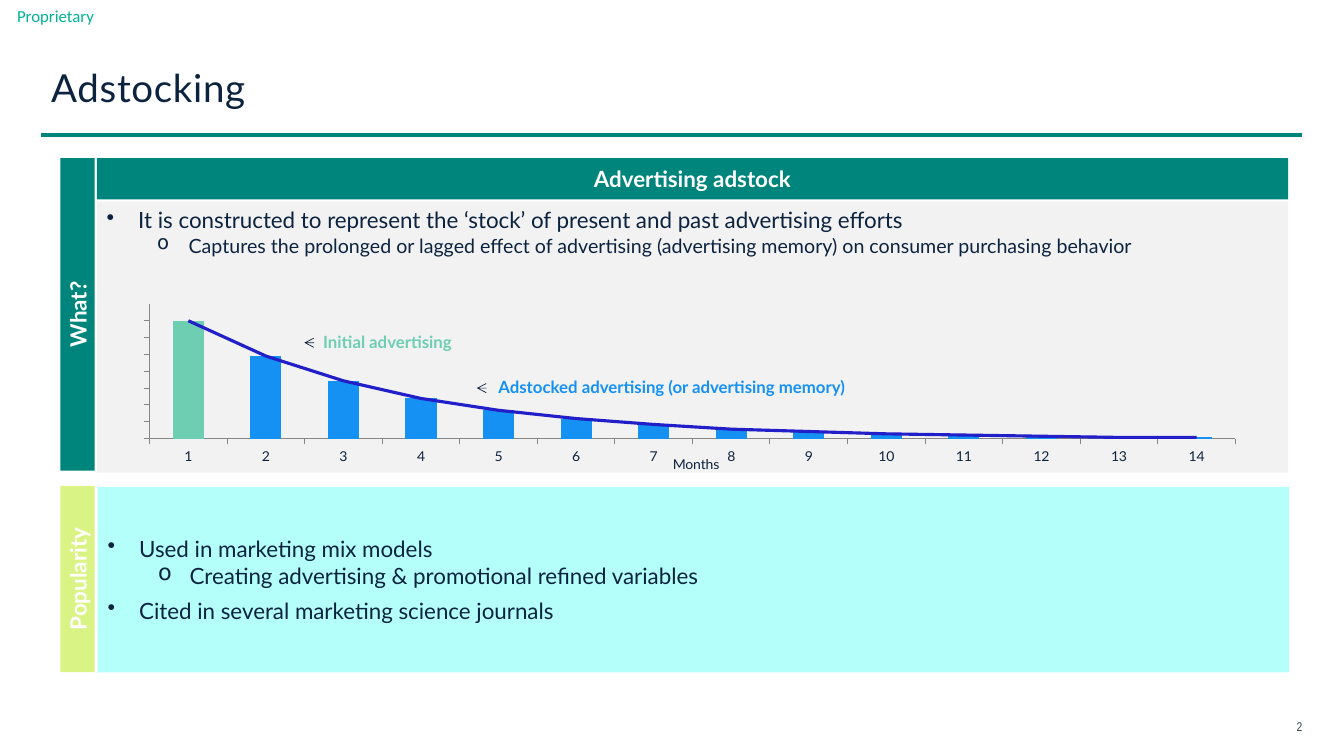
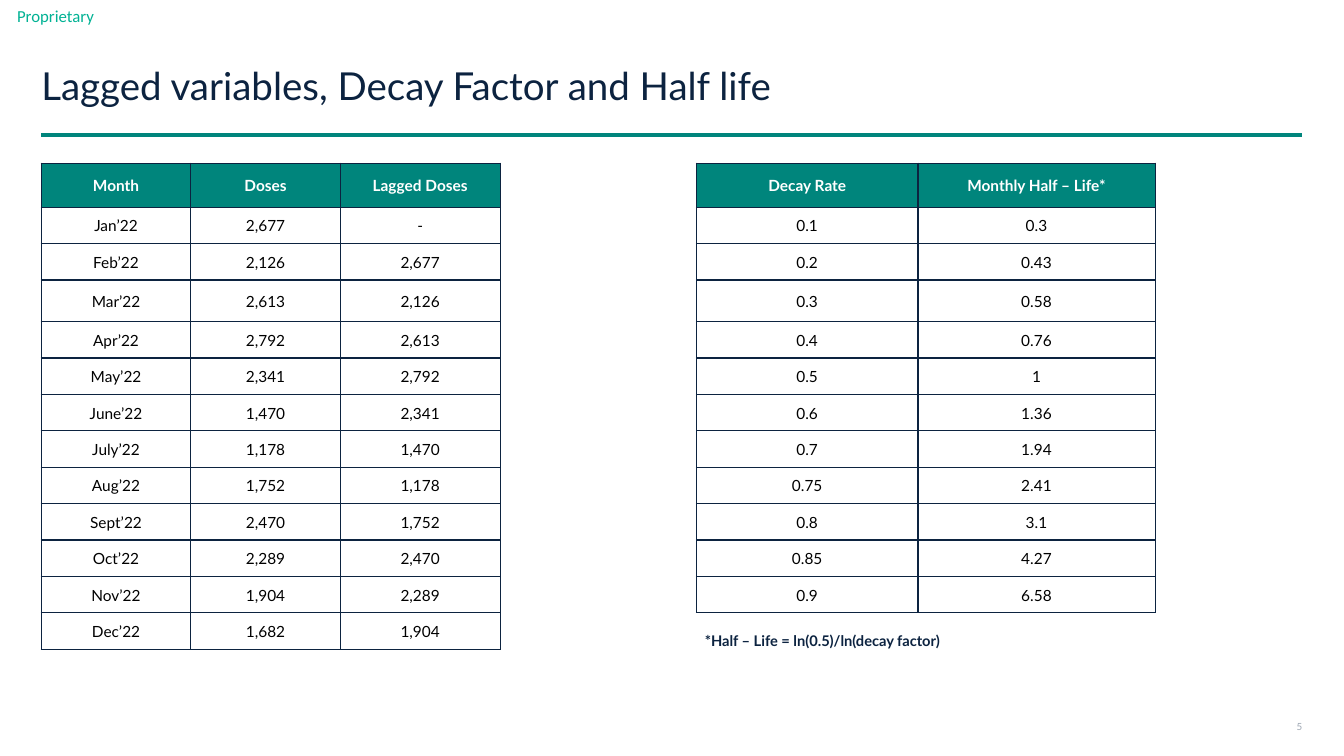
from dataclasses import dataclass
from typing import NamedTuple, Optional

from lxml import etree
from pptx import Presentation
from pptx import util as u
from pptx.chart import data as chart_data
from pptx.dml.color import RGBColor
from pptx.enum import chart as charts, shapes, text
from pptx.oxml.ns import qn

Pt = u.Pt

COLORS = {
    "navy": "0C2340", "teal": "00857C", "green": "00B294", "white": "FFFFFF",
    "black": "000000", "slate": "37424A", "silver": "9EA7B3", "grey": "F2F2F2",
    "axis": "868686", "aqua": "B4FFFA", "lime": "D9F485", "mint": "6ECEB2",
    "blue": "1590F3", "indigo": "221FC8",
}
CENTER, RIGHT = text.PP_ALIGN.CENTER, text.PP_ALIGN.RIGHT
MIDDLE, TOP = text.MSO_ANCHOR.MIDDLE, text.MSO_ANCHOR.TOP
MARGIN, RULE_Y, RULE_END = 29.5, 96.5, 930.2


class Area(NamedTuple):
    left: float
    top: float
    width: float
    height: float

    def points(self) -> list:
        return [Pt(value) for value in self]


class Insets(NamedTuple):
    left: float = 0
    top: float = 0
    right: float = 0
    bottom: float = 0


PADDED = Insets(7.2, 3.6, 7.2, 3.6)


@dataclass
class Band:
    label: str
    area: Area
    fill: str
    vertical: bool = False


@dataclass
class Bullet:
    text: str
    level: int = 0
    size: float = 16
    space: float = 0


@dataclass
class Panel:
    area: Area
    fill: str
    anchor: text.MSO_ANCHOR
    bullets: list


@dataclass
class Callout:
    label: str
    color: str
    tip: float
    tail: float
    y: float
    left: float
    width: float


@dataclass
class Grid:
    left: float
    widths: list
    header: list
    rows: list


def rgb(name: str) -> RGBColor:
    return RGBColor.from_string(COLORS[name])


# Text
def write(frame, content: str, *, size: float, color: str = "navy", font: str = "Lato",
          bold: bool = False, align=None, level: int = 0, bullet: Optional[str] = None,
          space: float = 0, line: Optional[float] = None, tracking: int = 0) -> None:
    para = frame.add_paragraph() if frame.text else frame.paragraphs[0]
    para.alignment, para.level, para.line_spacing = align, level, line
    para.space_before = para.space_after = Pt(space)
    if bullet:
        props = para._p.get_or_add_pPr()
        props.set("marL", str(Pt(22.5 + 36 * level)))
        props.set("indent", str(-Pt(22.5)))
        etree.SubElement(props, qn("a:buChar"), char=bullet)
    span = para.add_run()
    span.text = content
    span.font.name, span.font.size, span.font.bold = font, Pt(size), bold
    span.font.color.rgb = rgb(color)
    if tracking:
        span._r.get_or_add_rPr().set("spc", str(tracking))


def set_frame(frame, insets: Insets = Insets(), anchor=MIDDLE) -> None:
    frame.word_wrap = True
    frame.vertical_anchor = anchor
    frame.margin_left, frame.margin_top, frame.margin_right, frame.margin_bottom = (
        Pt(value) for value in insets)


def add_text(page, area: Area, content: str, insets: Insets = Insets(), **style) -> None:
    frame = page.shapes.add_textbox(*area.points()).text_frame
    set_frame(frame, insets)
    write(frame, content, **style)


# Shapes and lines
def add_box(page, area: Area, fill: str):
    box = page.shapes.add_shape(shapes.MSO_SHAPE.RECTANGLE, *area.points())
    box.shadow.inherit = False
    box.fill.solid()
    box.fill.fore_color.rgb = rgb(fill)
    box.line.fill.background()
    return box


def add_line(page, start: float, end: float, y: float, color: str, width: float,
             arrow: bool = False) -> None:
    line = page.shapes.add_connector(
        shapes.MSO_CONNECTOR.STRAIGHT, Pt(start), Pt(y), Pt(end), Pt(y))
    line.line.color.rgb = rgb(color)
    line.line.width = Pt(width)
    if arrow:
        etree.SubElement(line.line._get_or_add_ln(), qn("a:tailEnd"), type="arrow")
    etree.SubElement(line.element.spPr, qn("a:effectLst"))


def add_band(page, band: Band) -> None:
    box = add_box(page, band.area, band.fill)
    set_frame(box.text_frame)
    if band.vertical:
        box.element.find(".//" + qn("a:bodyPr")).set("vert", "vert270")
    write(box.text_frame, band.label, size=16, color="white", bold=True, align=CENTER)


def add_panel(page, panel: Panel) -> None:
    frame = add_box(page, panel.area, panel.fill).text_frame
    set_frame(frame, PADDED, panel.anchor)
    for item in panel.bullets:
        write(frame, item.text, size=item.size, level=item.level, space=item.space,
              bullet="•o"[item.level], align=text.PP_ALIGN.LEFT)


def add_callout(page, note: Callout) -> None:
    add_line(page, note.tail, note.tip, note.y, "navy", 0.5, arrow=True)
    add_text(page, Area(note.left, note.y - 10.1, note.width, 18.7), note.label,
             size=12, color=note.color, bold=True, align=CENTER)


# Page parts shared by all slides
def add_page(deck, title: str, number: str, title_top: float, title_insets: Insets,
             title_tracking: int, number_style: dict):
    page = deck.slides.add_slide(deck.slide_layouts[6])
    add_line(page, MARGIN, RULE_END, RULE_Y, "teal", 2.5)
    add_text(page, Area(0, 0, 80, 23), "Proprietary", Insets(left=12.2), size=12,
             color="green", font="Calibri")
    add_text(page, Area(MARGIN, title_top, RULE_END - MARGIN, 67), title, title_insets,
             size=27.5, line=0.9, tracking=title_tracking)
    add_text(page, Area(912.2, 510.5, 18, 17.3), number, align=RIGHT, **number_style)
    return page


# Chart
def set_layout(parent, index: int, **values) -> None:
    for old in parent.findall(qn("c:layout")):
        parent.remove(old)
    layout = etree.Element(qn("c:layout"))
    manual = etree.SubElement(layout, qn("c:manualLayout"))
    for tag, value in values.items():
        etree.SubElement(manual, qn("c:" + tag), val=str(value))
    parent.insert(index, layout)


def move_to_line(chart) -> None:
    """Turn the second column series into a line on the same axes."""
    bars = chart.plots[0]._element
    series = bars.findall(qn("c:ser"))[1]
    for flag in series.findall(qn("c:invertIfNegative")):
        series.remove(flag)
    lines = etree.Element(qn("c:lineChart"))
    etree.SubElement(lines, qn("c:grouping"), val="standard")
    etree.SubElement(lines, qn("c:varyColors"), val="0")
    lines.append(series)
    etree.SubElement(lines, qn("c:marker"), val="1")
    for axis in bars.findall(qn("c:axId")):
        etree.SubElement(lines, qn("c:axId"), val=axis.get("val"))
    bars.addnext(lines)


def add_decay_chart(page, area: Area, values: list) -> None:
    data = chart_data.CategoryChartData()
    data.categories = [str(month + 1) for month in range(len(values))]
    for name in ("Series 1", "Series 2"):
        data.add_series(name, values)
    chart = page.shapes.add_chart(
        charts.XL_CHART_TYPE.COLUMN_STACKED, *area.points(), data).chart
    chart.has_legend = chart.has_title = False
    chart.font.name, chart.font.size = "Lato", Pt(18)
    chart.font.color.rgb = rgb("navy")
    move_to_line(chart)

    columns, curve = chart.plots
    columns.gap_width, columns.overlap, columns.vary_by_categories = 150, 100, False
    bars = columns.series[0]
    bars.invert_if_negative = False
    for target, color in ((bars, "blue"), (bars.points[0], "mint")):
        target.format.fill.solid()
        target.format.fill.fore_color.rgb = rgb(color)
    trend = curve.series[0]
    trend.smooth = False
    trend.marker.style = charts.XL_MARKER_STYLE.NONE
    trend.format.line.color.rgb = rgb("indigo")
    trend.format.line.width = Pt(2.25)

    months, amounts = chart.category_axis, chart.value_axis
    for axis, size, color in ((months, 10, "navy"), (amounts, 9, "white")):
        axis.has_major_gridlines = False
        axis.major_tick_mark = charts.XL_TICK_MARK.OUTSIDE
        axis.minor_tick_mark = charts.XL_TICK_MARK.NONE
        axis.format.line.color.rgb = rgb("axis")
        axis.format.line.width = Pt(0.75)
        axis.tick_labels.font.size = Pt(size)
        axis.tick_labels.font.color.rgb = rgb(color)
    amounts.tick_label_position = charts.XL_TICK_LABEL_POSITION.NONE
    amounts.minimum_scale, amounts.maximum_scale, amounts.major_unit = 0, 114.3, 14.29
    write(months.axis_title.text_frame, "Months", size=10)
    set_layout(months.axis_title._element, 1, xMode="edge", yMode="edge", x=0.48, y=0.88)
    set_layout(columns._element.getparent(), 0, layoutTarget="inner", xMode="edge",
               yMode="edge", x=0.013, y=0, w=0.974, h=0.8)


# Table
def set_borders(cell) -> None:
    props = cell._tc.get_or_add_tcPr()
    for side in ("lnL", "lnR", "lnT", "lnB"):
        line = etree.SubElement(props, qn("a:" + side), w=str(Pt(1)))
        fill = etree.SubElement(line, qn("a:solidFill"))
        etree.SubElement(fill, qn("a:srgbClr"), val=COLORS["navy"])


def add_grid(page, grid: Grid) -> None:
    lines = [grid.header, *grid.rows]
    heights = [{0: 31.4, 3: 29.8}.get(row, 26) for row in range(len(lines))]
    area = Area(grid.left, 116.6, sum(grid.widths), sum(heights))
    table = page.shapes.add_table(len(lines), len(grid.widths), *area.points()).table
    table.first_row = table.horz_banding = False
    for column, width in zip(table.columns, grid.widths):
        column.width = Pt(width)
    for index, (row, height, values) in enumerate(zip(table.rows, heights, lines)):
        row.height = Pt(height)
        head = index == 0
        for cell, value in zip(row.cells, values):
            set_borders(cell)
            cell.vertical_anchor = MIDDLE
            cell.margin_left = cell.margin_right = cell.margin_top = Pt(0.7)
            cell.margin_bottom = 0
            if head:
                cell.fill.solid()
                cell.fill.fore_color.rgb = rgb("teal")
            else:
                cell.fill.background()
            write(cell.text_frame, value, size=11, bold=head, align=CENTER,
                  color="white" if head else "black")


def build_adstocking(deck) -> None:
    page = add_page(deck, "Adstocking", "2", 31, PADDED, 50,
                    dict(size=9, font="Arial Narrow", color="slate", tracking=10))
    for panel in (
        Panel(Area(69.8, 347.8, 851, 132.5), "aqua", MIDDLE, [
            Bullet("Used in marketing mix models"),
            Bullet("Creating advertising & promotional refined variables", 1),
            Bullet("Cited in several marketing science journals", space=6)]),
        Panel(Area(69.1, 144, 851, 193.7), "grey", TOP, [
            Bullet("It is constructed to represent the ‘stock’ of present and past "
                   "advertising efforts"),
            Bullet("Captures the prolonged or lagged effect of advertising (advertising "
                   "memory) on consumer purchasing behavior", 1, 14)]),
    ):
        add_panel(page, panel)
    add_decay_chart(page, Area(96.5, 216.7, 796.3, 123.8),
                    [100, 70, 49, 34, 24, 17, 12, 8, 6, 4, 3, 2, 1, 1])
    for band in (
        Band("What?", Area(43.2, 113, 24.5, 223.2), "teal", True),
        Band("Advertising adstock", Area(69.1, 113, 851, 29.5), "teal"),
        Band("Popularity", Area(43.2, 347, 24.5, 133.2), "lime", True),
    ):
        add_band(page, band)
    for note in (
        Callout("Initial advertising", "mint", 217.4, 221, 244.8, 219.6, 114.5),
        Callout("Adstocked advertising (or advertising memory)", "blue",
                340.6, 342.7, 277.2, 334.8, 290.2),
    ):
        add_callout(page, note)


def build_half_life(deck) -> None:
    page = add_page(deck, "Lagged variables, Decay Factor and Half life", "5", 29.5,
                    Insets(), 0, dict(size=7, color="silver"))
    rates = "0.1 0.2 0.3 0.4 0.5 0.6 0.7 0.75 0.8 0.85 0.9".split()
    lives = "0.3 0.43 0.58 0.76 1 1.36 1.94 2.41 3.1 4.27 6.58".split()
    months = "Jan Feb Mar Apr May June July Aug Sept Oct Nov Dec".split()
    doses = ("2,677 2,126 2,613 2,792 2,341 1,470 "
             "1,178 1,752 2,470 2,289 1,904 1,682").split()
    lagged = ["-", *doses[:-1]]
    add_grid(page, Grid(497.5, [158.2, 169.4], ["Decay Rate", "Monthly Half – Life*"],
                        list(zip(rates, lives))))
    add_text(page, Area(450, 445, 275, 25.2), "*Half – Life = ln(0.5)/ln(decay factor)",
             size=10.5, bold=True, align=CENTER)
    add_grid(page, Grid(MARGIN, [106.8, 106.8, 114.2], ["Month", "Doses", "Lagged Doses"],
                        list(zip([f"{month}’22" for month in months], doses, lagged))))


def main() -> None:
    deck = Presentation()
    deck.slide_width, deck.slide_height = Pt(960), Pt(540)
    build_adstocking(deck)
    build_half_life(deck)
    deck.save("out.pptx")


if __name__ == "__main__":
    main()
